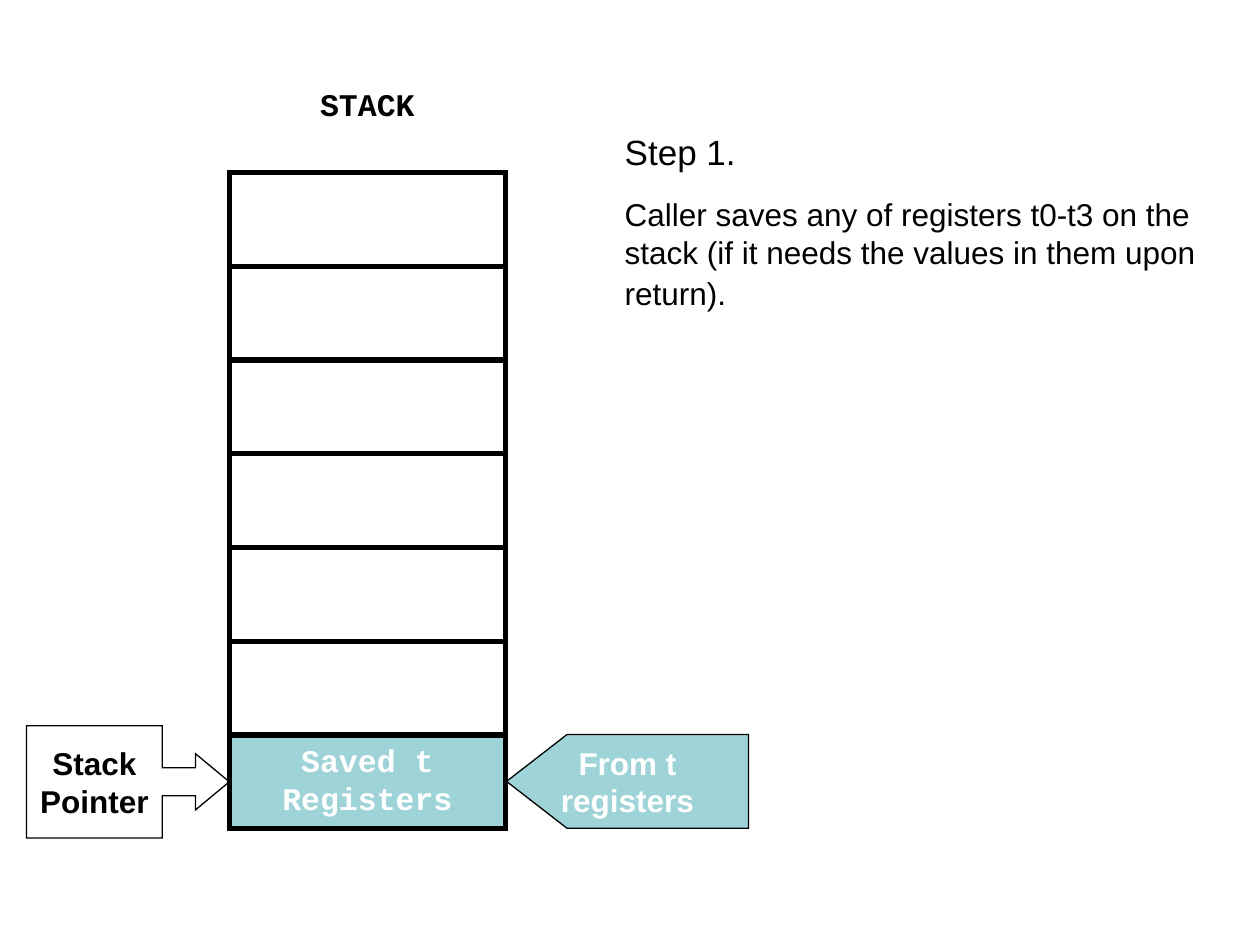
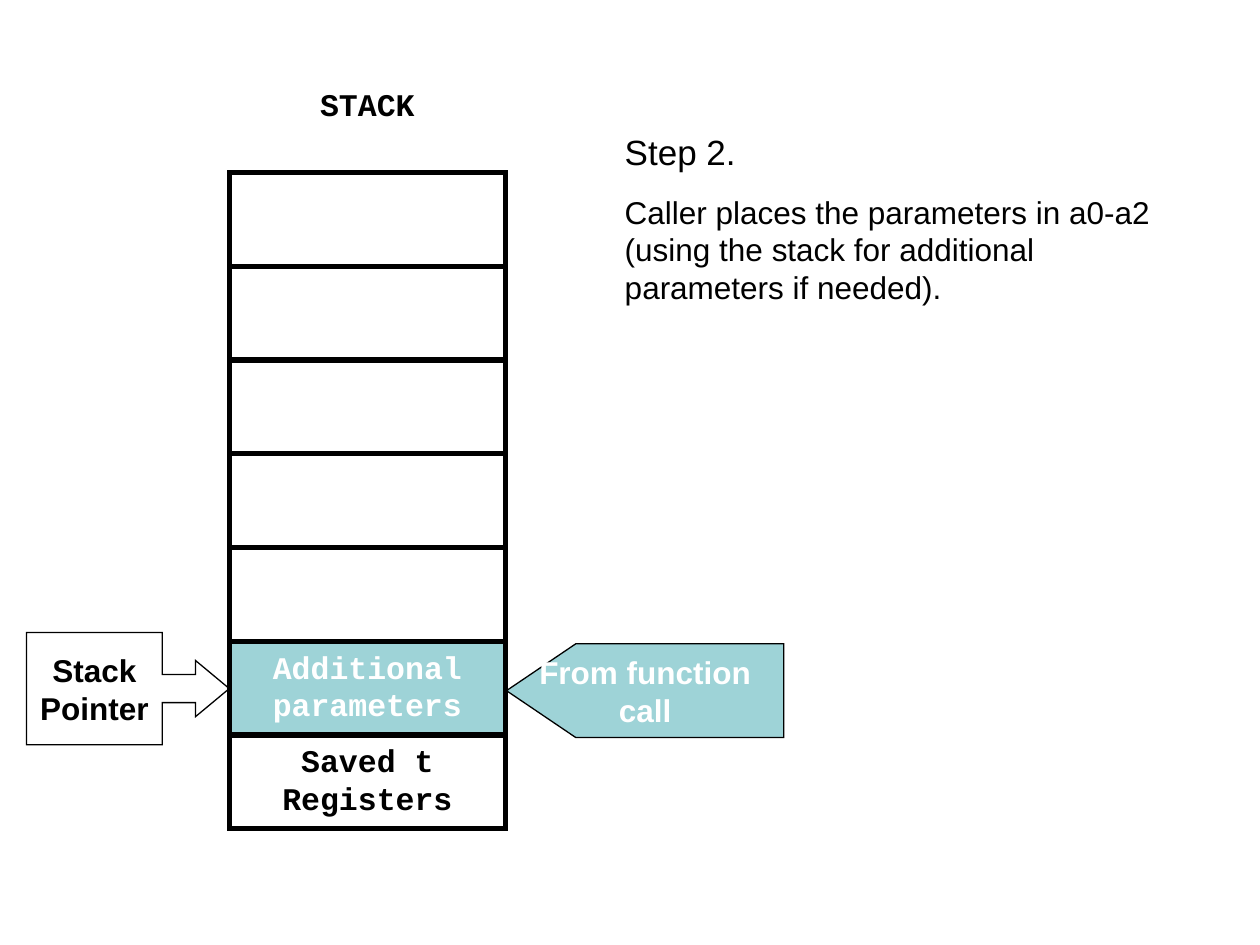
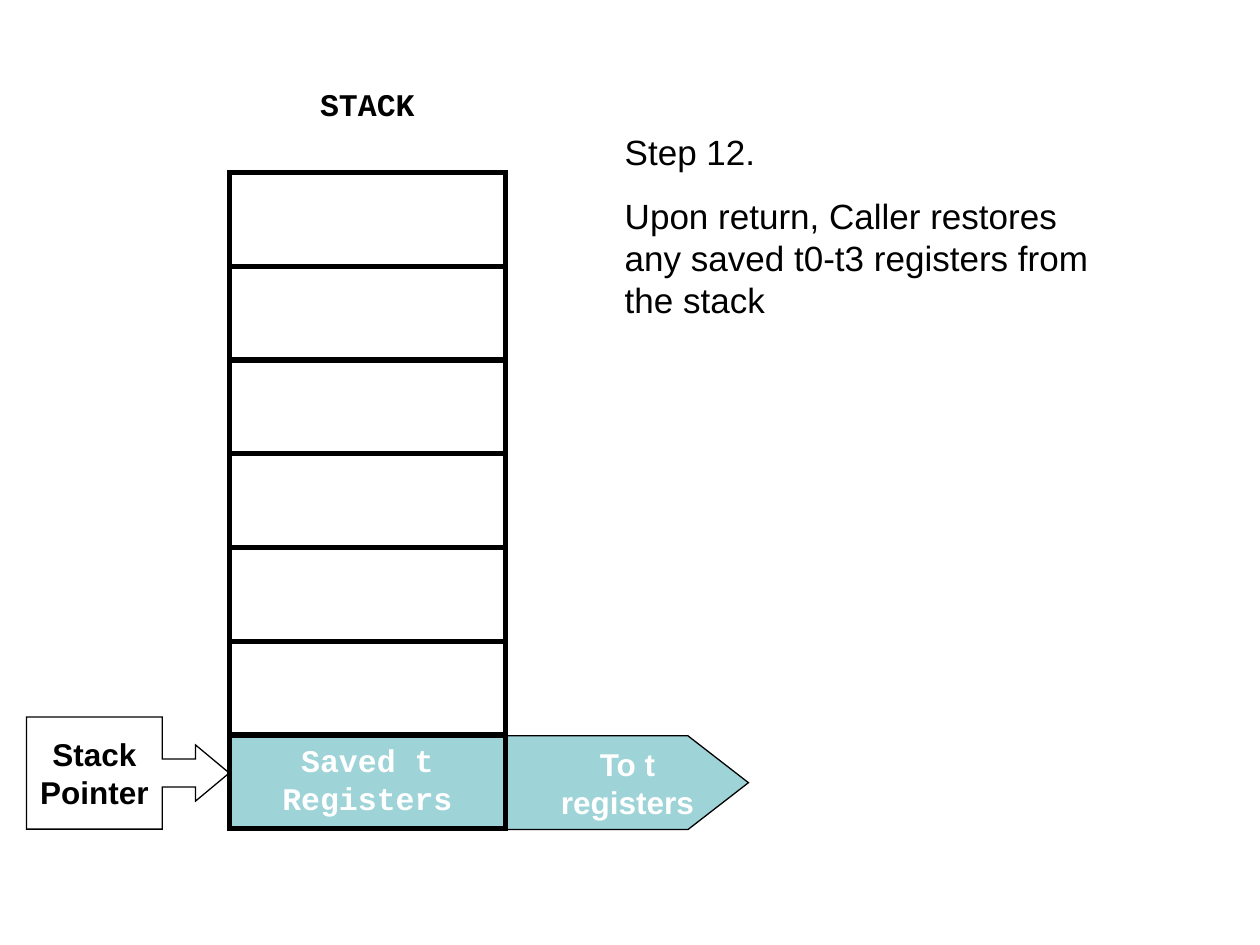
from dataclasses import dataclass

from lxml import etree
from pptx import Presentation
from pptx import util as u
from pptx.dml.color import RGBColor
from pptx.enum import shapes, text
from pptx.oxml import ns

BLACK = RGBColor(0x00, 0x00, 0x00)
WHITE = RGBColor(0xFF, 0xFF, 0xFF)
TEAL = RGBColor(0x9E, 0xD3, 0xD7)
SANS, MONO = "Arial", "Courier New"

# The slide is a grid of 100 columns by 75 rows of square units.
SLIDE_W, SLIDE_H = u.Inches(10), u.Inches(7.5)
UNIT = SLIDE_W / 100

STACK_LEFT, STACK_TOP, STACK_W = 18.2, 13.7, 21.9
CELL_COUNT, CELL_H = 7, 7.44
TAG_LEFT, TAG_TIP = 40.2, 0.25
TEXT_LEFT, TEXT_TOP = 48.6, 9.9


@dataclass(frozen=True)
class Box:
    left: float
    top: float
    width: float
    height: float

    def emu(self) -> list[int]:
        return [round(n * UNIT) for n in (self.left, self.top, self.width, self.height)]


@dataclass(frozen=True)
class Tag:
    """Pentagon beside the stack, pointing into it or out of it."""
    label: str
    top: float
    width: float
    points_in: bool = True


@dataclass(frozen=True)
class Step:
    title: str
    body: tuple[tuple[str, int], ...]  # runs: wording and size
    space_before: float
    text_w: float
    text_h: float
    pointer_top: float
    cells: tuple[str, ...]  # from the bottom of the stack up
    tag: Tag


STEPS = (
    Step("Step 1.",
         (("Caller saves any of registers t0-t3 on the stack "
           "(if it needs the values in them upon return).", 18), (" ", 20)),
         12.5, 47.7, 15.4, 57.6, ("Saved t Registers",),
         Tag("From t registers", 58.3, 19.2)),
    Step("Step 2.",
         (("Caller places the parameters in a0-a2 (using the stack "
           "for additional parameters if needed).", 18),),
         11.2, 46.9, 19.5, 50.2, ("Saved t Registers", "Additional parameters"),
         Tag("From function call", 51.1, 22)),
    Step("Step 12.",
         (("Upon return, Caller restores any saved t0-t3 registers from the stack", 20),),
         12.5, 39.8, 16.1, 56.9, ("Saved t Registers",),
         Tag("To t\nregisters", 58.4, 19.2, points_in=False)),
)


def style_font(r, font: str, size: float, color: RGBColor, bold: bool) -> None:
    r.font.name, r.font.size, r.font.bold = font, u.Pt(size), bold
    r.font.color.rgb = color


def set_label(sp, label: str, font: str, color: RGBColor,
              anchor=text.MSO_ANCHOR.TOP, wrap: bool = True) -> None:
    """Write bold, centred text into a shape."""
    tf = sp.text_frame
    tf.text = label
    tf.word_wrap, tf.vertical_anchor = wrap, anchor
    for p in tf.paragraphs:
        p.alignment = text.PP_ALIGN.CENTER
        for r in p.runs:
            style_font(r, font, 18, color, True)


def set_look(sp, fill: RGBColor | None, line_pt: float) -> None:
    sp.shadow.inherit = False
    if fill is None:
        sp.fill.background()
    else:
        sp.fill.solid()
        sp.fill.fore_color.rgb = fill
    sp.line.color.rgb = BLACK
    sp.line.width = u.Pt(line_pt)
    ln = sp._element.spPr.find(ns.qn("a:ln"))
    etree.SubElement(ln, ns.qn("a:miter"), lim="800000")


def add_step_text(s, step: Step) -> None:
    box = Box(TEXT_LEFT, TEXT_TOP, step.text_w, step.text_h)
    tf = s.shapes.add_textbox(*box.emu()).text_frame
    tf.word_wrap = True
    tf.auto_size = text.MSO_AUTO_SIZE.SHAPE_TO_FIT_TEXT
    paragraphs = (tf.paragraphs[0], tf.add_paragraph())
    contents = (((step.title, 20),), step.body)
    for p, runs, space in zip(paragraphs, contents, (12.5, step.space_before)):
        p.space_before = u.Pt(space)
        for wording, size in runs:
            r = p.add_run()
            r.text = wording
            style_font(r, SANS, size, BLACK, False)


def add_pointer(s, top: float) -> None:
    box = Box(2.1, top, 16.1, 8.9)
    sp = s.shapes.add_shape(shapes.MSO_SHAPE.RIGHT_ARROW_CALLOUT, *box.emu())
    for i, share in enumerate((0.25, 0.25, 0.3, 0.67)):
        sp.adjustments[i] = share
    set_look(sp, None, 0.75)
    set_label(sp, "Stack\nPointer", SANS, BLACK, text.MSO_ANCHOR.MIDDLE, wrap=False)


def add_tag(s, tag: Tag) -> None:
    left, top, width, height = Box(TAG_LEFT, tag.top, tag.width, CELL_H).emu()
    outline = [(1, 0), (TAG_TIP, 0), (0, 0.5), (TAG_TIP, 1), (1, 1)]
    if not tag.points_in:
        outline = [(1 - x, y) for x, y in outline]
    points = [(round(left + x * width), round(top + y * height)) for x, y in outline]
    builder = s.shapes.build_freeform(*points[0])
    builder.add_line_segments(points[1:], close=True)
    sp = builder.convert_to_shape()
    set_look(sp, TEAL, 0.75)
    set_label(sp, tag.label, SANS, WHITE, text.MSO_ANCHOR.MIDDLE)


def add_stack(s, cells: tuple[str, ...]) -> None:
    """Draw the heading and the cells, the topmost filled one highlighted."""
    heading = Box(STACK_LEFT, STACK_TOP - CELL_H, STACK_W, CELL_H)
    set_label(s.shapes.add_textbox(*heading.emu()), "STACK", MONO, BLACK)
    for i in reversed(range(CELL_COUNT)):
        top = STACK_TOP + (CELL_COUNT - 1 - i) * CELL_H
        box = Box(STACK_LEFT, top, STACK_W, CELL_H)
        sp = s.shapes.add_shape(shapes.MSO_SHAPE.RECTANGLE, *box.emu())
        is_top = i == len(cells) - 1
        set_look(sp, TEAL if is_top else None, 3)
        if i < len(cells):
            set_label(sp, cells[i], MONO, WHITE if is_top else BLACK)


def main() -> None:
    prs = Presentation()
    prs.slide_width, prs.slide_height = SLIDE_W, SLIDE_H
    for step in STEPS:
        s = prs.slides.add_slide(prs.slide_layouts[6])
        add_step_text(s, step)
        add_pointer(s, step.pointer_top)
        add_tag(s, step.tag)
        add_stack(s, step.cells)
    prs.save("out.pptx")


if __name__ == "__main__":
    main()
